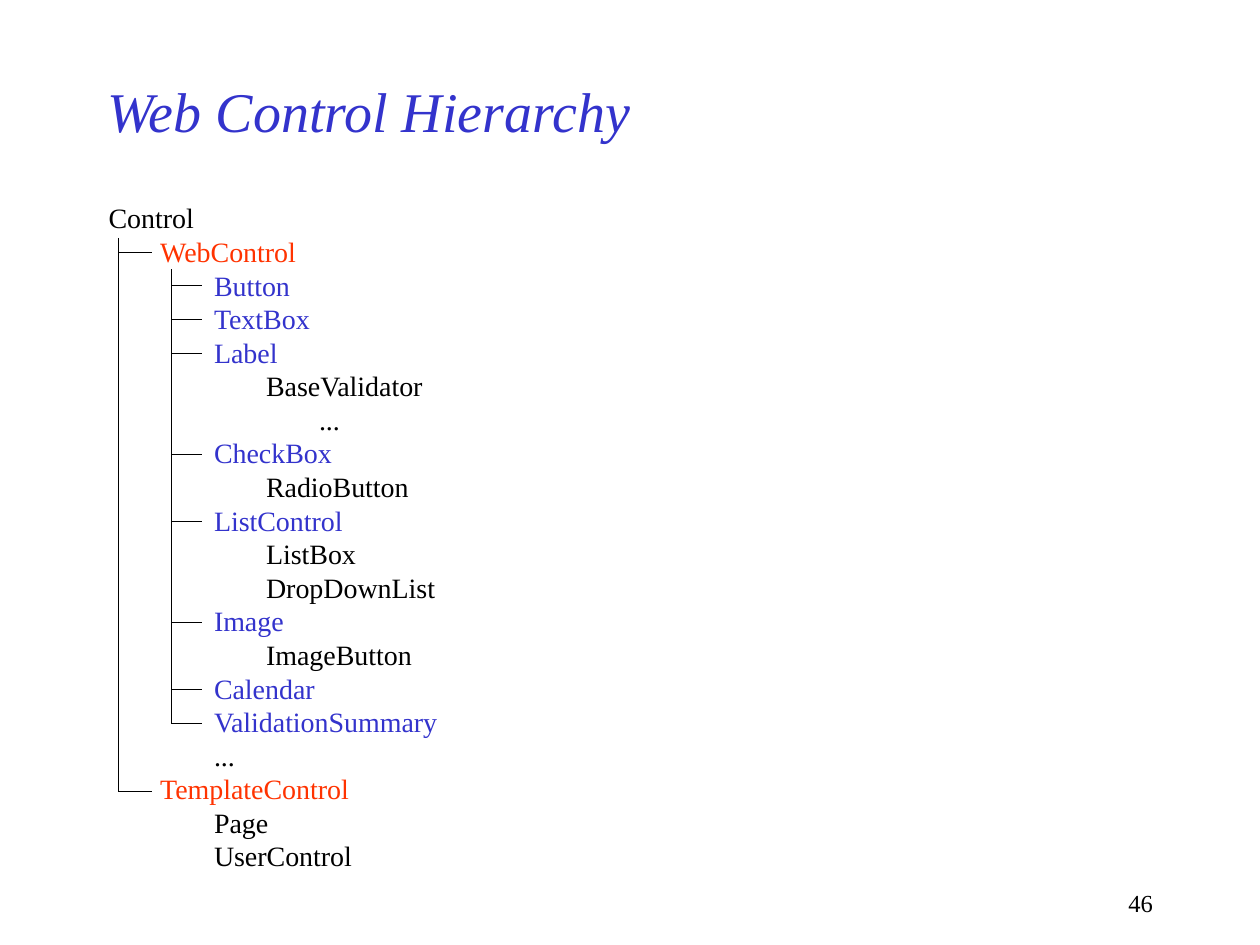
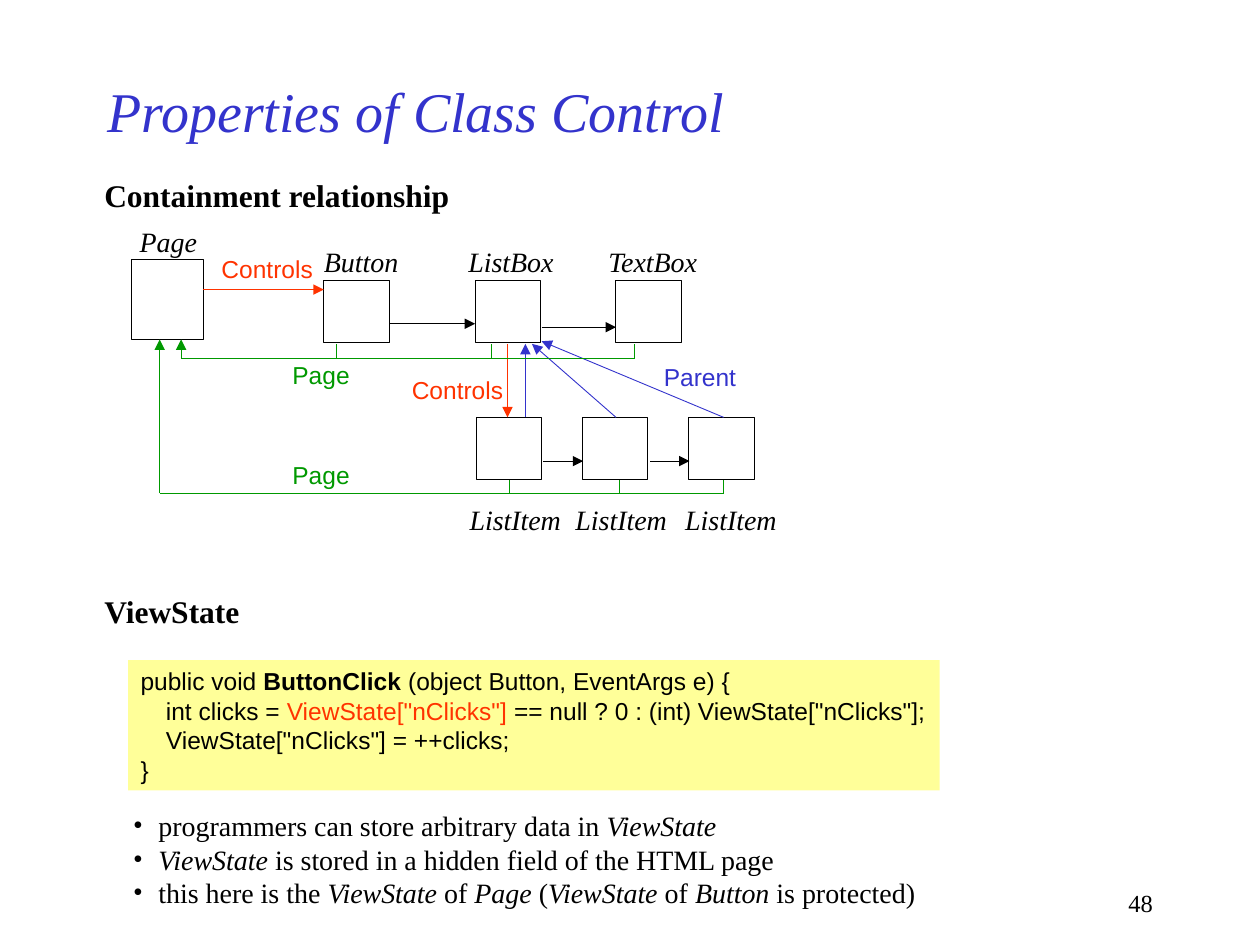
from dataclasses import dataclass
from typing import NamedTuple

from lxml.etree import SubElement
from pptx import Presentation
from pptx.dml.color import RGBColor
from pptx.enum.shapes import MSO_CONNECTOR, MSO_SHAPE
from pptx.enum.text import MSO_ANCHOR, MSO_AUTO_SIZE, PP_ALIGN
from pptx.oxml.ns import qn
from pptx.shapes.autoshape import Shape
from pptx.slide import Slide
from pptx.util import Pt


@dataclass(frozen=True)
class Theme:
    black: str = "000000"
    blue: str = "3333CC"
    red: str = "FF3300"
    green: str = "009900"
    code_fill: str = "FFFF99"
    serif: str = "Times New Roman"
    sans: str = "Arial"
    title_size: float = 32
    heading_size: float = 18
    body_size: float = 16
    small_size: float = 14
    line_factor: float = 1.2
    line_width: float = 0.5


THEME = Theme()


class Box(NamedTuple):
    left: float
    top: float
    width: float
    height: float


class Style(NamedTuple):
    font: str
    size: float
    color: str = THEME.black
    bold: bool = False
    italic: bool = False


class Line(NamedTuple):
    runs: list[tuple[str, Style]]
    indent: float = 0
    bullet: bool = False


class Node(NamedTuple):
    label: str
    square: Box
    label_box: Box


class Tag(NamedTuple):
    text: str
    box: Box
    color: str


class Arrow(NamedTuple):
    start: tuple[float, float]
    end: tuple[float, float]
    color: str


class Bus(NamedTuple):
    stubs: list[float]
    stub_top: float
    level: float
    arrow_left: float


class Entry(NamedTuple):
    depth: int
    text: str
    color: str = THEME.black


TITLE = Style(THEME.serif, THEME.title_size, THEME.blue, italic=True)
HEADING = Style(THEME.serif, THEME.heading_size, bold=True)
BODY = Style(THEME.serif, THEME.body_size)
EMPHASIS = BODY._replace(italic=True)
NUMBER = Style(THEME.serif, THEME.small_size)
CODE = Style(THEME.sans, THEME.small_size)
CODE_BOLD = CODE._replace(bold=True)
CODE_RED = CODE._replace(color=THEME.red)

TITLE_BOX = Box(54.25, 36, 540, 54)
NUMBER_BOX = Box(516, 504, 150, 24)
HANGING = 14.5

TREE = [
    Entry(0, "Control"),
    Entry(1, "WebControl", THEME.red),
    Entry(2, "Button", THEME.blue),
    Entry(2, "TextBox", THEME.blue),
    Entry(2, "Label", THEME.blue),
    Entry(3, "BaseValidator"),
    Entry(4, "..."),
    Entry(2, "CheckBox", THEME.blue),
    Entry(3, "RadioButton"),
    Entry(2, "ListControl", THEME.blue),
    Entry(3, "ListBox"),
    Entry(3, "DropDownList"),
    Entry(2, "Image", THEME.blue),
    Entry(3, "ImageButton"),
    Entry(2, "Calendar", THEME.blue),
    Entry(2, "ValidationSummary", THEME.blue),
    Entry(2, "..."),
    Entry(1, "TemplateControl", THEME.red),
    Entry(2, "Page"),
    Entry(2, "UserControl"),
]
TREE_INDENTS = [0, 29.5, 60.25, 90, 120.25]
TREE_BOX = Box(55, 111.25, 203.75, 391)
TREE_FIRST_ROW = 124.75
TREE_ROW_PITCH = 19.25

SQUARE_WIDTH, SQUARE_HEIGHT = 37.5, 35.5
CONTROL_TOP, ITEM_TOP = 160.5, 238.5
CONTROL_BOTTOM = CONTROL_TOP + SQUARE_HEIGHT + 0.5
ITEM_BOTTOM = ITEM_TOP + SQUARE_HEIGHT + 0.5
PAGE_BOTTOM = 194


def node(label: str, left: float, top: float, label_left: float,
         label_top: float, label_width: float) -> Node:
    return Node(label, Box(left, top, SQUARE_WIDTH, SQUARE_HEIGHT),
                Box(label_left, label_top, label_width, 26.5))


NODES = [
    Node("Page", Box(75.25, 148.5, 41, 45.5), Box(72.75, 124.5, 49, 26.5)),
    node("Button", 185, CONTROL_TOP, 178, 136, 59),
    node("ListBox", 271.5, CONTROL_TOP, 260.5, 136, 65),
    node("TextBox", 351.75, CONTROL_TOP, 340.5, 136, 67.5),
    node("ListItem", 272, ITEM_TOP, 261.25, 283.5, 69),
    node("ListItem", 332.75, ITEM_TOP, 321.75, 283.5, 69),
    node("ListItem", 393.5, ITEM_TOP, 384.5, 283.5, 69),
]
TAGS = [
    Tag("Controls", Box(119.5, 141.75, 69, 24.5), THEME.red),
    Tag("Controls", Box(228.25, 211, 69, 24.5), THEME.red),
    Tag("Parent", Box(372.25, 203.25, 58, 24.5), THEME.blue),
    Tag("Page", Box(160, 202, 49, 24.5), THEME.green),
    Tag("Page", Box(160, 259.25, 49, 24.5), THEME.green),
]
ARROWS = [
    Arrow((116, 165.5), (185, 165.5), THEME.red),
    Arrow((290, CONTROL_BOTTOM), (290, ITEM_TOP), THEME.red),
    Arrow((222.5, 185), (271.5, 185), THEME.black),
    Arrow((309.5, 187), (352, 187), THEME.black),
    Arrow((310.5, 263.5), (333.25, 263.5), THEME.black),
    Arrow((371.5, 263.5), (394, 263.5), THEME.black),
    Arrow((300.25, ITEM_TOP), (300.25, CONTROL_BOTTOM), THEME.blue),
    Arrow((352, ITEM_TOP), (304, CONTROL_BOTTOM), THEME.blue),
    Arrow((413.5, ITEM_TOP), (309.5, 195), THEME.blue),
]
BUSES = [
    Bus([192.5, 281, 362.5], CONTROL_BOTTOM, 205, 103.5),
    Bus([291, 354, 413.5], ITEM_BOTTOM, 282, 91.25),
]

CODE_LINES = [
    Line([("public void ", CODE), ("ButtonClick", CODE_BOLD),
          (" (object Button, EventArgs e) {", CODE)]),
    Line([("int clicks = ", CODE), ('ViewState["nClicks"]', CODE_RED),
          (' == null ? 0 : (int) ViewState["nClicks"];', CODE)], HANGING),
    Line([('ViewState["nClicks"] = ++clicks;', CODE)], HANGING),
    Line([("}", CODE)]),
]
NOTES = [
    [("programmers can store arbitrary data in ", BODY), ("ViewState", EMPHASIS)],
    [("ViewState", EMPHASIS), (" is stored in a hidden field of the HTML page", BODY)],
    [("this here is the ", BODY), ("ViewState", EMPHASIS), (" of ", BODY),
     ("Page", EMPHASIS), (" (", BODY), ("ViewState", EMPHASIS), (" of ", BODY),
     ("Button", EMPHASIS), (" is protected)", BODY)],
]


def points(box: Box) -> list[Pt]:
    return [Pt(length) for length in box]


def write_lines(shape: Shape, lines: list[Line], wrap: bool = False,
                align: PP_ALIGN = PP_ALIGN.LEFT,
                anchor: MSO_ANCHOR = MSO_ANCHOR.TOP) -> None:
    frame = shape.text_frame
    frame.word_wrap = wrap
    frame.auto_size = MSO_AUTO_SIZE.NONE if wrap else MSO_AUTO_SIZE.SHAPE_TO_FIT_TEXT
    frame.vertical_anchor = anchor
    for index, line in enumerate(lines):
        paragraph = frame.add_paragraph() if index else frame.paragraphs[0]
        properties = paragraph._p.get_or_add_pPr()
        properties.set("marL", str(int(Pt(line.indent))))
        if line.bullet:
            properties.set("indent", str(-int(Pt(line.indent))))
            SubElement(properties, qn("a:buFont")).set("typeface", THEME.serif)
            SubElement(properties, qn("a:buChar")).set("char", "•")
        paragraph.alignment = align
        paragraph.line_spacing = Pt(line.runs[0][1].size * THEME.line_factor)
        for text, style in line.runs:
            run = paragraph.add_run()
            run.text = text
            run.font.name = style.font
            run.font.size = Pt(style.size)
            run.font.bold = style.bold
            run.font.italic = style.italic
            run.font.color.rgb = RGBColor.from_string(style.color)


def add_text(slide: Slide, box: Box, text: str, style: Style) -> None:
    write_lines(slide.shapes.add_textbox(*points(box)), [Line([(text, style)])])


def add_line(slide: Slide, start: tuple[float, float], end: tuple[float, float],
             color: str = THEME.black, arrow: bool = False) -> None:
    connector = slide.shapes.add_connector(
        MSO_CONNECTOR.STRAIGHT, *[Pt(length) for length in (*start, *end)])
    connector.line.width = Pt(THEME.line_width)
    connector.line.color.rgb = RGBColor.from_string(color)
    if arrow:
        SubElement(connector.line._get_or_add_ln(), qn("a:tailEnd")).set("type", "triangle")
    SubElement(connector._element.spPr, qn("a:effectLst"))


def add_rectangle(slide: Slide, box: Box) -> Shape:
    shape = slide.shapes.add_shape(MSO_SHAPE.RECTANGLE, *points(box))
    shape.shadow.inherit = False
    return shape


def add_slide(presentation: Presentation, title: str, number: str) -> Slide:
    slide = presentation.slides.add_slide(presentation.slide_layouts[6])
    write_lines(slide.shapes.add_textbox(*points(NUMBER_BOX)),
                [Line([(number, NUMBER)])], wrap=True, align=PP_ALIGN.RIGHT)
    write_lines(slide.shapes.add_textbox(*points(TITLE_BOX)),
                [Line([(title, TITLE)])], wrap=True, anchor=MSO_ANCHOR.MIDDLE)
    return slide


def add_branches(slide: Slide, color: str, left: float, right: float, top: float) -> None:
    levels = [TREE_FIRST_ROW + row * TREE_ROW_PITCH
              for row, entry in enumerate(TREE) if entry.color == color]
    add_line(slide, (left, top), (left, levels[-1]))
    for level in levels:
        add_line(slide, (left, level), (right, level))


def add_bus(slide: Slide, bus: Bus) -> None:
    for left in bus.stubs:
        add_line(slide, (left, bus.stub_top), (left, bus.level), THEME.green)
    add_line(slide, (bus.stubs[-1], bus.level), (bus.arrow_left, bus.level), THEME.green)
    add_line(slide, (bus.arrow_left, bus.level), (bus.arrow_left, PAGE_BOTTOM),
             THEME.green, arrow=True)


def build_hierarchy(presentation: Presentation) -> None:
    slide = add_slide(presentation, "Web Control Hierarchy", "46")
    write_lines(slide.shapes.add_textbox(*points(TREE_BOX)),
                [Line([(entry.text, BODY._replace(color=entry.color))],
                      TREE_INDENTS[entry.depth]) for entry in TREE])
    add_branches(slide, THEME.red, 67.5, 87, 136)
    add_branches(slide, THEME.blue, 98, 115.5, 154)


def build_properties(presentation: Presentation) -> None:
    slide = add_slide(presentation, "Properties of Class Control", "48")
    add_text(slide, Box(52.5, 96.75, 212, 29), "Containment relationship", HEADING)
    add_text(slide, Box(52.5, 334.75, 93, 29), "ViewState", HEADING)
    for item in NODES:
        square = add_rectangle(slide, item.square)
        square.fill.background()
        square.line.width = Pt(THEME.line_width)
        square.line.color.rgb = RGBColor.from_string(THEME.black)
        add_text(slide, item.label_box, item.label, EMPHASIS)
    for arrow in ARROWS:
        add_line(slide, arrow.start, arrow.end, arrow.color, arrow=True)
    for bus in BUSES:
        add_bus(slide, bus)
    for tag in TAGS:
        add_text(slide, tag.box, tag.text, CODE._replace(color=tag.color))
    panel = add_rectangle(slide, Box(73.25, 377.25, 463.75, 74.5))
    panel.fill.solid()
    panel.fill.fore_color.rgb = RGBColor.from_string(THEME.code_fill)
    panel.line.fill.background()
    write_lines(panel, CODE_LINES)
    write_lines(slide.shapes.add_textbox(*points(Box(69, 458.5, 463.75, 65))),
                [Line(runs, HANGING, bullet=True) for runs in NOTES])


def main() -> None:
    presentation = Presentation()
    presentation.slide_width = Pt(720)
    presentation.slide_height = Pt(540)
    build_hierarchy(presentation)
    build_properties(presentation)
    presentation.save("out.pptx")


if __name__ == "__main__":
    main()
